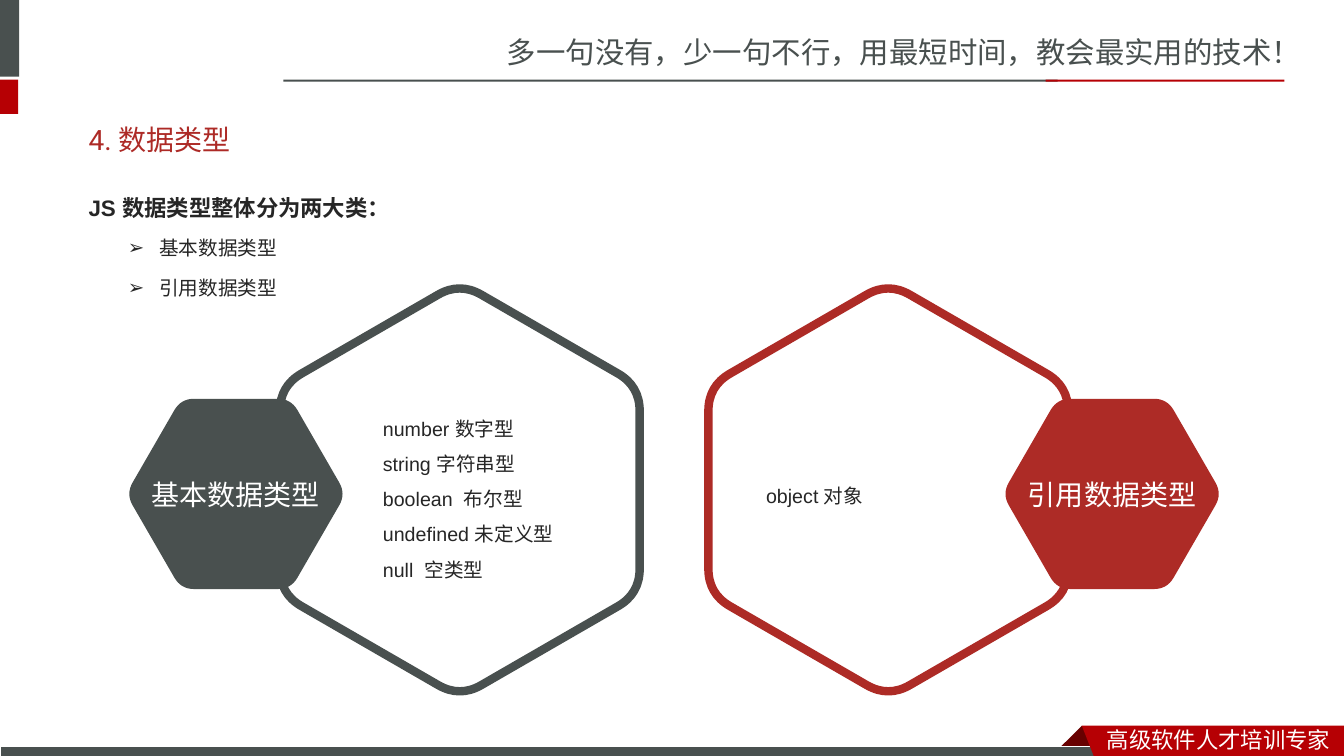
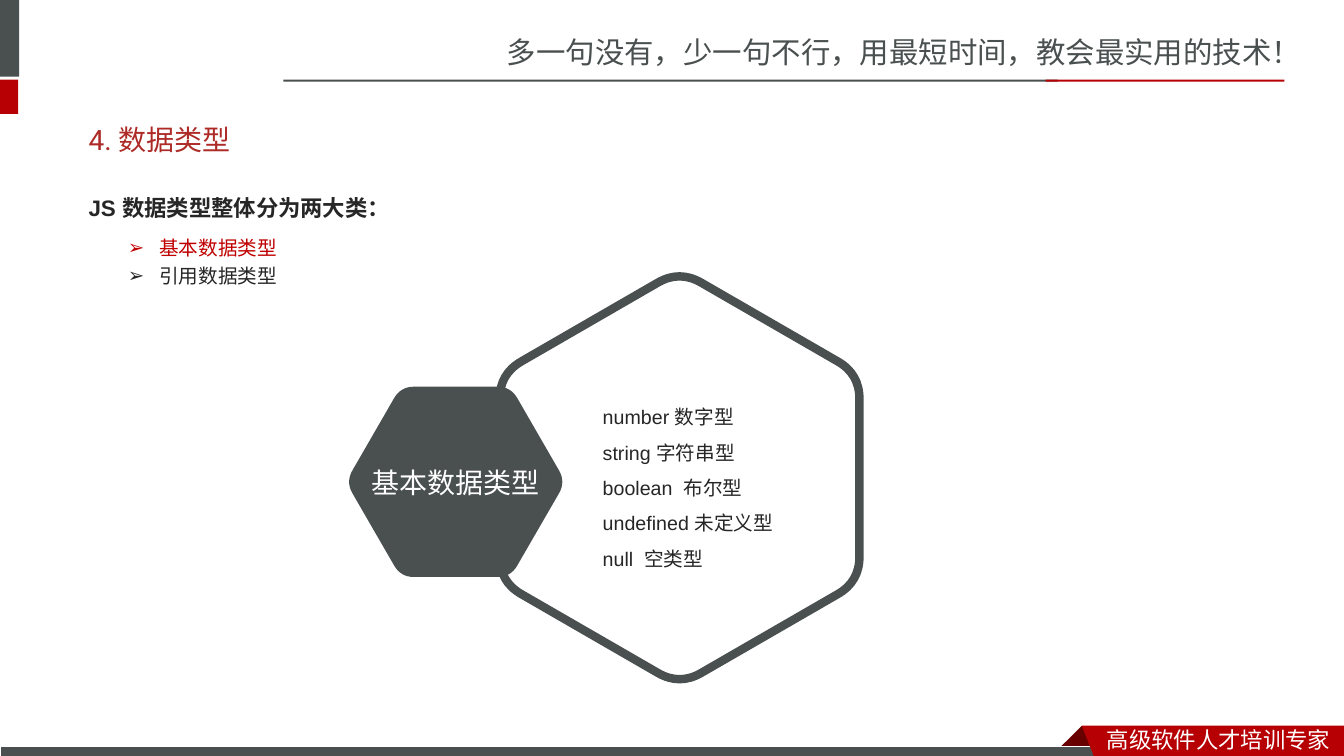
import math

from lxml import etree
from pptx import Presentation
from pptx.dml.color import RGBColor
from pptx.enum.lang import MSO_LANGUAGE_ID
from pptx.enum.shapes import MSO_SHAPE
from pptx.enum.text import MSO_ANCHOR, PP_ALIGN
from pptx.oxml.ns import qn
from pptx.util import Inches, Pt

RECT = MSO_SHAPE.RECTANGLE
TOP, MIDDLE = MSO_ANCHOR.TOP, MSO_ANCHOR.MIDDLE
CENTER = PP_ALIGN.CENTER
CHINESE = MSO_LANGUAGE_ID.SIMPLIFIED_CHINESE

C = {"slate": "49504F", "band": "B60004", "fold": "680000", "title": "AD2A26",
     "brick": "AD2B26", "ink": "262626", "accent": "C00000", "white": "FFFFFF"}
CJK = "Noto Sans CJK SC"

TAGLINE = "多一句没有，少一句不行，用最短时间，教会最实用的技术！"
FOOTER = "高级软件人才培训专家"
TITLE = "4. 数据类型"
LEAD = "JS 数据类型整体分为两大类："
BASIC, REFERENCE = "基本数据类型", "引用数据类型"
BASIC_TYPES = ["number 数字型", "string 字符串型", "boolean  布尔型",
               "undefined 未定义型", "null  空类型"]
REFERENCE_TYPES = ["object 对象"]

# bullets: (text, colour, line spacing)
# groups: label, members, colour, centre of the frame, side of the badge, text shift
SLIDES = [
    {"bullets": [(BASIC, "ink", 1.5), (REFERENCE, "ink", 1.5)],
     "groups": [(BASIC, BASIC_TYPES, "slate", (4.56, 4.86), -1, (0.32, 0.03)),
                (REFERENCE, REFERENCE_TYPES, "brick", (8.81, 4.86), 1, (-0.13, 0))]},
    {"bullets": [(BASIC, "accent", 1.5), (REFERENCE, "ink", 1.0)],
     "groups": [(BASIC, BASIC_TYPES, "slate", (6.74, 4.74), -1, (0.32, 0.04))]},
]

# left, top, width, height, colour
BARS = [(0, 0, 0.19, 0.76, "slate"), (0, 0.79, 0.18, 0.34, "band"),
        (2.81, 0.79, 7.68, 0.02, "slate"), (10.37, 0.79, 2.37, 0.02, "band")]
FOOTER_BAR = (0, 7.41, 10.99, 0.12, "slate")
FOLD = [(10.73, 7.2), (10.95, 7.42), (10.94, 7.43), (10.52, 7.43), (10.51, 7.42)]
RIBBON = [(10.73, 7.2), (13.33, 7.2), (13.33, 7.54), (10.86, 7.53)]

FRAME_RADIUS, BADGE_RADIUS = 2.06, 1.09
BADGE_SHIFT = (2.22, 0.04)
MEMBERS_WIDTH, MEMBERS_HEIGHT = 2.36, 1.87
CORNER_SHARE = 0.12


def rgb(name):
    return RGBColor.from_string(C[name])


def paint(sp, fill, line=None, width=0):
    sp.shadow.inherit = False
    sp.fill.solid()
    sp.fill.fore_color.rgb = rgb(fill)
    if line:
        sp.line.color.rgb = rgb(line)
        sp.line.width = Pt(width)
    else:
        sp.line.fill.background()


def add_bar(s, x, y, w, h, fill, line=None, width=0):
    sp = s.shapes.add_shape(RECT, Inches(x), Inches(y), Inches(w), Inches(h))
    paint(sp, fill, line, width)


def add_outline(s, points, fill, line=None, width=0):
    emu = [(Inches(x), Inches(y)) for x, y in points]
    builder = s.shapes.build_freeform(*emu[0], scale=1.0)
    builder.add_line_segments(emu[1:], close=True)
    sp = builder.convert_to_shape()
    paint(sp, fill, line, width)
    return sp


def add_hexagon(s, center, radius, first_angle, *colors):
    """Regular hexagon; each corner becomes a curve from one side to the next."""
    angles = [math.radians(first_angle + 60 * i) for i in range(6)]
    corners = [(center[0] + radius * math.cos(a), center[1] + radius * math.sin(a))
               for a in angles]
    points = []
    for i, corner in enumerate(corners):
        start, end = (tuple(c + CORNER_SHARE * (n - c) for c, n in zip(corner, near))
                      for near in (corners[i - 1], corners[(i + 1) % 6]))
        points += [start, corner, end]
    sp = add_outline(s, points, *colors)

    outline = next(sp.element.iter(qn("a:path")))
    steps = list(outline)
    for i in range(0, len(points), 3):
        to_corner, to_end = steps[i + 1:i + 3]
        curve = etree.Element(qn("a:quadBezTo"))
        outline.replace(to_corner, curve)
        curve.extend([to_corner[0], to_end[0]])
        outline.remove(to_end)
    return sp


def style(p, size, font, color, bold=False, spacing=None):
    if spacing:
        p.line_spacing = spacing
    for r in p.runs:
        r.font.size = Pt(size)
        r.font.name = font
        r.font.bold = bold
        r.font.color.rgb = rgb(color)
        r.font.language_id = CHINESE
        ea = etree.SubElement(r.font._element, qn("a:ea"))
        ea.set("typeface", CJK)


def add_text(s, x, y, w, h, lines, anchor=TOP):
    tf = s.shapes.add_textbox(Inches(x), Inches(y), Inches(w), Inches(h)).text_frame
    tf.word_wrap = True
    tf.vertical_anchor = anchor
    tf.text = "\n".join(lines)
    return tf.paragraphs


def add_bullet(p):
    pPr = p._p.get_or_add_pPr()
    pPr.set("marL", str(Inches(0.7)))
    pPr.set("indent", str(Inches(-0.31)))
    etree.SubElement(pPr, qn("a:buFont")).set("typeface", "Arial")
    etree.SubElement(pPr, qn("a:buChar")).set("char", "➢")


def add_common(s):
    style(add_text(s, 4.93, 0.29, 8.4, 0.47, [TAGLINE])[0], 21, CJK, "slate")
    for bar in BARS:
        add_bar(s, *bar)
    add_outline(s, FOLD, "fold")
    add_bar(s, *FOOTER_BAR, "white", 0.75)
    add_outline(s, RIBBON, "band")
    style(add_text(s, 10.88, 7.15, 2.45, 0.37, [FOOTER])[0], 16, CJK, "white")
    title = add_text(s, 0.78, 1.1, 11.75, 0.57, [TITLE], MIDDLE)
    style(title[0], 20, "Roboto", "title")


def add_body(s, bullets):
    lines = [LEAD] + [text for text, _, _ in bullets]
    lead, *items = add_text(s, 0.78, 1.74, 11.72, 4.98, lines)
    style(lead, 16, "Arial", "ink", True, 1.5)
    lead.space_before = Pt(3.8)
    for p, (_, color, spacing) in zip(items, bullets):
        style(p, 14, "Arial", color, spacing=spacing)
        p.space_before = Pt(2.8)
        add_bullet(p)


def add_group(s, label, members, color, center, side, text_shift):
    x, y = center
    add_hexagon(s, center, FRAME_RADIUS, 30, "white", color, 6)

    badge_center = (x + side * BADGE_SHIFT[0], y + BADGE_SHIFT[1])
    badge = add_hexagon(s, badge_center, BADGE_RADIUS, 0, color)
    tf = badge.text_frame
    tf.text = label
    tf.word_wrap = True
    tf.vertical_anchor = MIDDLE
    tf.paragraphs[0].alignment = CENTER
    style(tf.paragraphs[0], 20, "Calibri", "white")

    left = x + text_shift[0] - MEMBERS_WIDTH / 2
    top = y + text_shift[1] - MEMBERS_HEIGHT / 2
    for p in add_text(s, left, top, MEMBERS_WIDTH, MEMBERS_HEIGHT, members, MIDDLE):
        style(p, 14, "Arial", "ink", spacing=1.5)


def main():
    prs = Presentation()
    prs.slide_width, prs.slide_height = Inches(13.33), Inches(7.5)
    for content in SLIDES:
        s = prs.slides.add_slide(prs.slide_layouts[6])
        add_common(s)
        add_body(s, content["bullets"])
        for group in content["groups"]:
            add_group(s, *group)
    prs.save("out.pptx")


if __name__ == "__main__":
    main()
